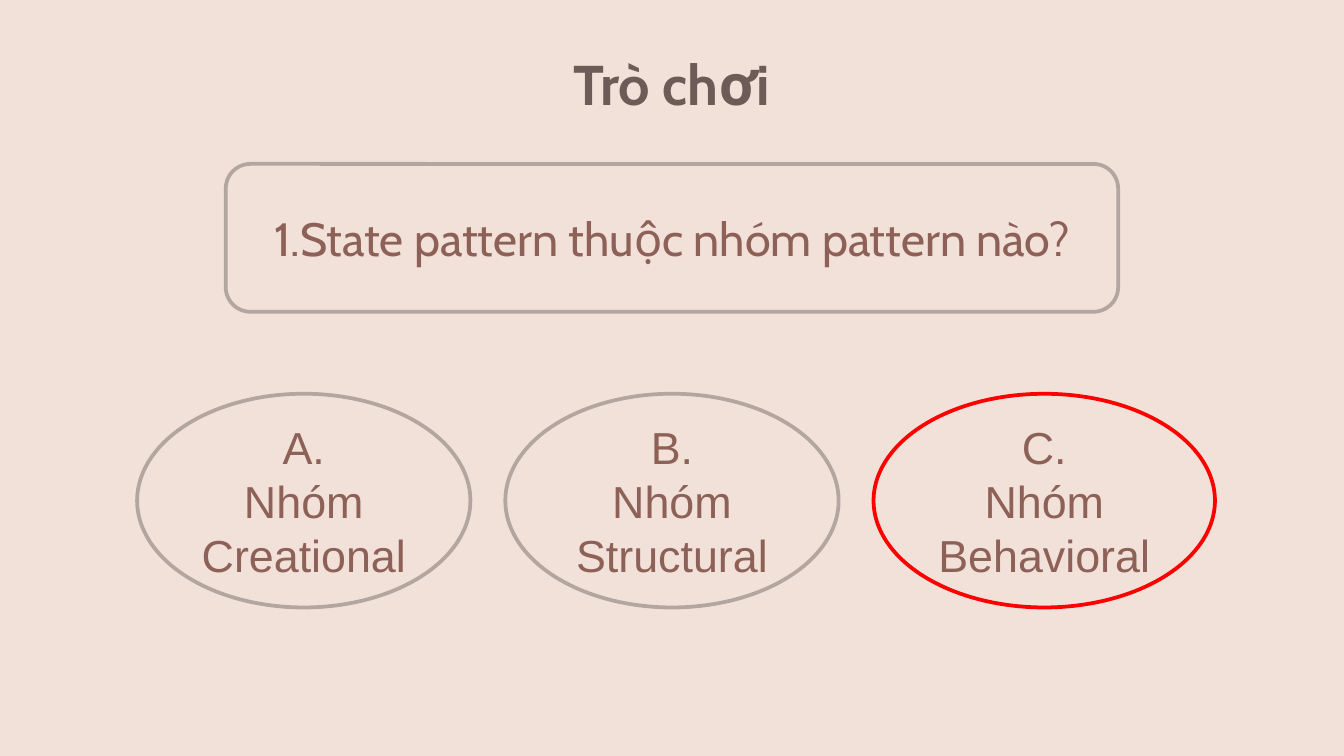
from dataclasses import dataclass

from pptx import Presentation
from pptx.dml.color import RGBColor
from pptx.enum.shapes import MSO_SHAPE
from pptx.enum.text import MSO_ANCHOR, PP_ALIGN
from pptx.util import Inches, Pt

ROUNDED, OVAL = MSO_SHAPE.ROUNDED_RECTANGLE, MSO_SHAPE.OVAL
TOP, MIDDLE, CENTER = MSO_ANCHOR.TOP, MSO_ANCHOR.MIDDLE, PP_ALIGN.CENTER


@dataclass(frozen=True)
class Theme:
    background: RGBColor = RGBColor.from_string("F2E1D8")
    title: RGBColor = RGBColor.from_string("6D5B57")
    text: RGBColor = RGBColor.from_string("8D6157")
    outline: RGBColor = RGBColor.from_string("B3A6A0")
    correct: RGBColor = RGBColor.from_string("FF0000")
    heading_font: str = "Cabin"
    answer_font: str = "Arial"
    title_size: Pt = Pt(30)
    question_size: Pt = Pt(25)
    answer_size: Pt = Pt(24)
    line_width: Pt = Pt(2)


theme = Theme()


def write(tf, lines, font, size, color, bold=False, anchor=MIDDLE):
    """Fill a text frame with centred paragraphs in one style."""
    tf.word_wrap = True
    tf.vertical_anchor = anchor
    tf.text = "\n".join(lines)
    for p in tf.paragraphs:
        p.alignment = CENTER
        p.font.name = font
        p.font.size = size
        p.font.bold = bold
        p.font.color.rgb = color


def add_outlined(kind, left, top, width, height, line_color):
    sp = s.shapes.add_shape(kind, Inches(left), Inches(top), Inches(width), Inches(height))
    sp.shadow.inherit = False
    sp.fill.solid()
    sp.fill.fore_color.rgb = theme.background
    sp.line.color.rgb = line_color
    sp.line.width = theme.line_width
    return sp


prs = Presentation()
prs.slide_width = Inches(10)
prs.slide_height = prs.slide_width * 9 // 16
s = prs.slides.add_slide(prs.slide_layouts[5])
s.background.fill.solid()
s.background.fill.fore_color.rgb = theme.background

# Title
title = s.shapes.title
title.left, title.top = Inches(2.74), Inches(0.27)
title.width, title.height = Inches(4.52), Inches(0.73)
tf = title.text_frame
tf.margin_left = tf.margin_right = tf.margin_top = tf.margin_bottom = Inches(0.1)
write(tf, ["Trò chơi"], theme.heading_font, theme.title_size, theme.title, bold=True, anchor=TOP)

# Question
question = add_outlined(ROUNDED, 1.68, 1.22, 6.64, 1.1, theme.outline)
write(question.text_frame, ["1.State pattern thuộc nhóm pattern nào?"],
      theme.heading_font, theme.question_size, theme.text)

# Answers, the correct one outlined in red
answers = [
    ("A.", "Nhóm Creational", 2.48, theme.outline),
    ("B.", "Nhóm Structural", 2.48, theme.outline),
    ("C.", "Nhóm Behavioral", 2.54, theme.correct),
]
for i, (letter, answer, width, line_color) in enumerate(answers):
    oval = add_outlined(OVAL, 1.02 + i * 2.74, 2.93, width, 1.59, line_color)
    write(oval.text_frame, [letter, answer], theme.answer_font, theme.answer_size, theme.text)

prs.save("out.pptx")
